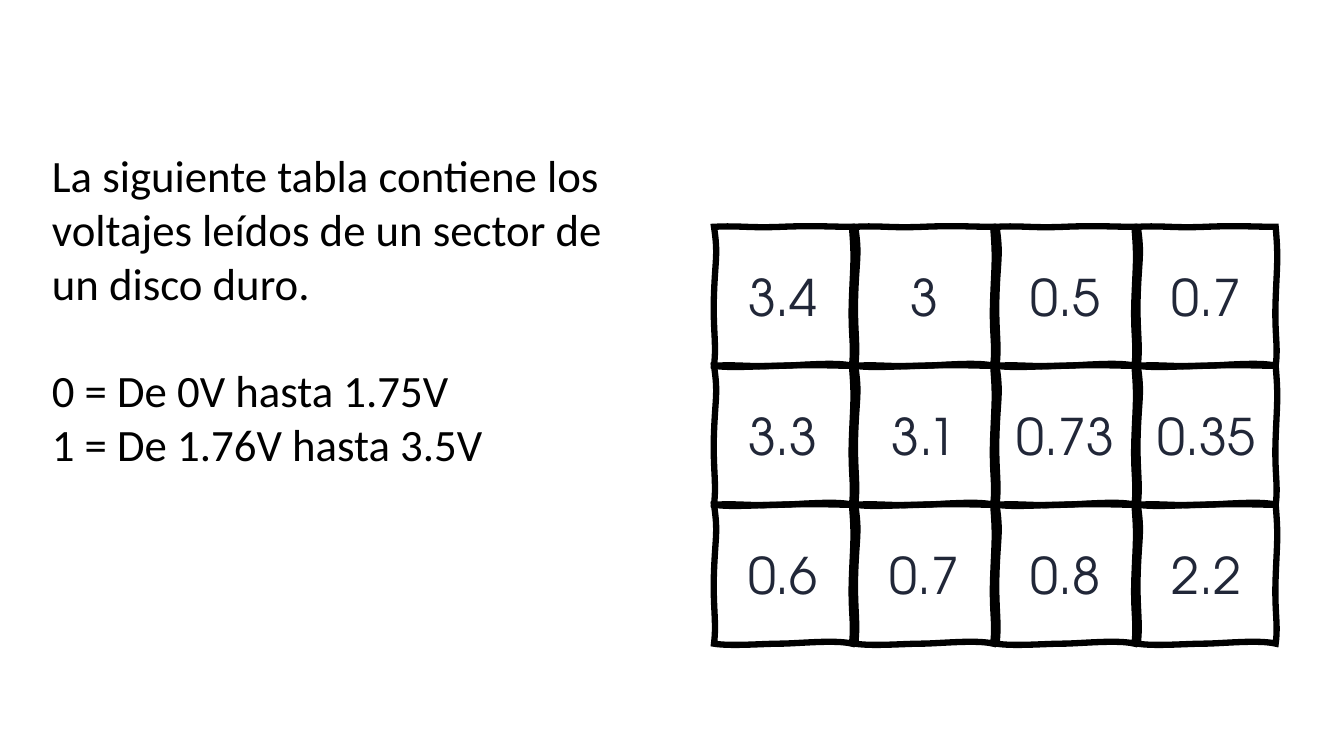
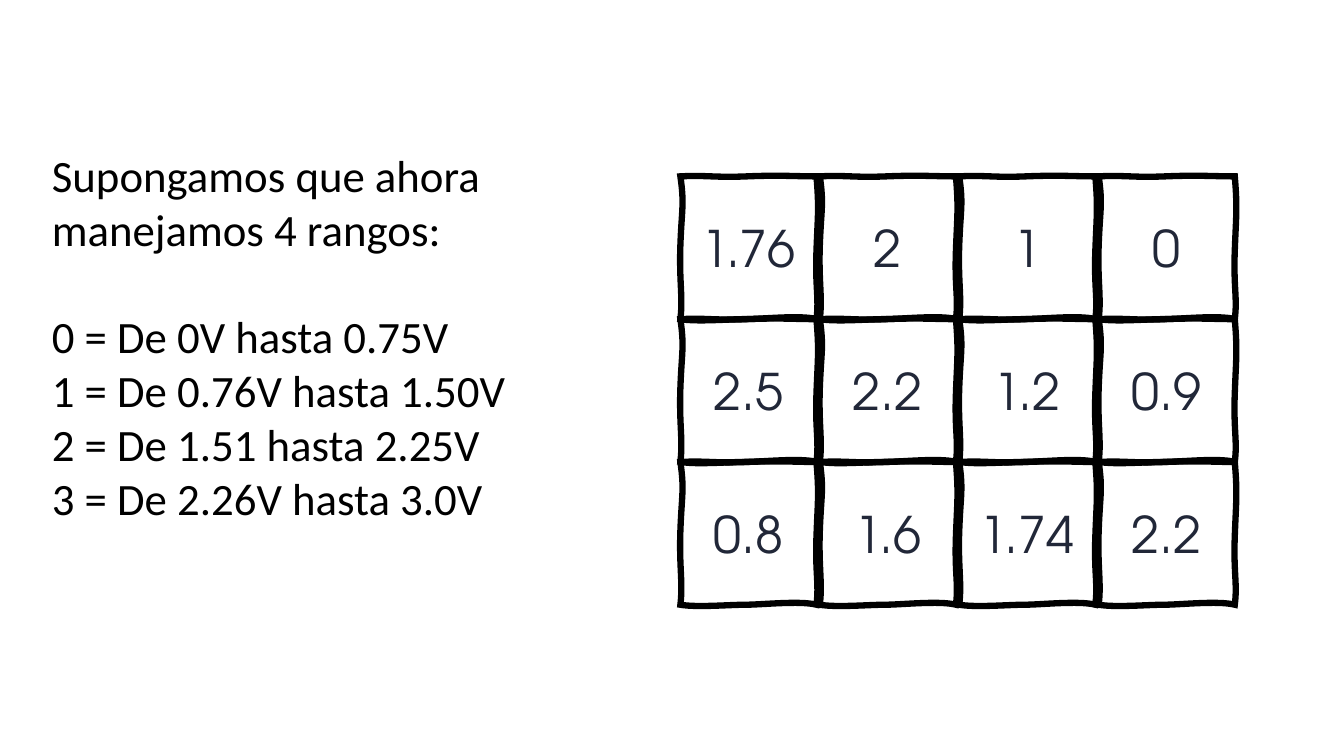
from dataclasses import dataclass

from lxml.etree import SubElement
from pptx import Presentation
from pptx.dml.color import RGBColor as RGB
from pptx.enum.text import MSO_ANCHOR as ANCHOR, MSO_AUTO_SIZE as AUTO, PP_ALIGN as ALIGN
from pptx.oxml.ns import qn
from pptx.util import Pt


@dataclass(frozen=True)
class Theme:
    ink: RGB = RGB(0, 0, 0)
    value: RGB = RGB(0x21, 0x27, 0x38)
    body_font: str = "Calibri"
    value_font: str = "TeX Gyre Adventor"
    body_size: float = 32
    value_size: float = 36
    border: float = 4.5
    body_gap: float = 38.4
    cell_gap: float = 2.4


THEME = Theme()
BODY = {"name": THEME.body_font, "size": Pt(THEME.body_size)}
VALUE = {"name": THEME.value_font, "size": Pt(THEME.value_size)}
CORNERS = [(1, 0), (1, 1), (0, 1)]
WAVY_EDGES = [
    ((0.19, -0.01), (0.25, 0.01), (0.49, 0)),
    ((0.74, -0.01), (0.83, 0), (1, 0)),
    ((1.02, 0.23), (1.01, 0.26), (1, 0.52)),
    ((0.99, 0.78), (1.02, 0.85), (1, 1)),
    ((0.88, 0.97), (0.6, 1), (0.48, 1)),
    ((0.36, 1), (0.12, 1.02), (0, 1)),
    ((0.02, 0.84), (-0.01, 0.74), (0, 0.48)),
    ((0.01, 0.22), (0.03, 0.2), (0, 0)),
]


def add_run(p, text, font, color):
    r = p.add_run()
    r.text = text
    for name, value in font.items():
        setattr(r.font, name, value)
    r.font.color.rgb = color


def add_body(s, height, intro, ranges):
    box = s.shapes.add_textbox(Pt(30), Pt(102), Pt(408), Pt(height))
    tf = box.text_frame
    tf.word_wrap = True
    tf.auto_size = AUTO.SHAPE_TO_FIT_TEXT
    add_run(tf.paragraphs[0], intro, BODY, THEME.ink)
    for i, text in enumerate(ranges):
        p = tf.add_paragraph()
        if i == 0:
            p.space_before = Pt(THEME.body_gap)
        add_run(p, text, BODY, THEME.ink)


def bend_edges(sp):
    outline = next(sp._element.iter(qn("a:path")))
    for line in outline.findall(qn("a:lnTo")):
        outline.remove(line)
    close = outline.find(qn("a:close"))
    for edge in WAVY_EDGES:
        curve = SubElement(outline, qn("a:cubicBezTo"))
        for x, y in edge:
            SubElement(curve, qn("a:pt"), x=str(round(x * sp.width)), y=str(round(y * sp.height)))
    outline.append(close)


def add_cell(shapes, left, top, width, height, text):
    builder = shapes.build_freeform(Pt(left), Pt(top))
    builder.add_line_segments(
        [(Pt(left + x * width), Pt(top + y * height)) for x, y in CORNERS]
    )
    sp = builder.convert_to_shape()
    bend_edges(sp)
    sp.shadow.inherit = False
    sp.fill.background()
    sp.line.color.rgb = THEME.ink
    sp.line.width = Pt(THEME.border)
    SubElement(sp.line._get_or_add_ln(), qn("a:miter"), lim="800000")
    tf = sp.text_frame
    tf.word_wrap = True
    tf.vertical_anchor = ANCHOR.MIDDLE
    p = tf.paragraphs[0]
    p.alignment = ALIGN.CENTER
    add_run(p, text, VALUE, THEME.value)


def add_grid(s, left, top, width, height, rows):
    group = s.shapes.add_group_shape()
    for i, row in enumerate(rows):
        for j, text in enumerate(row):
            x = left + j * (width + THEME.cell_gap)
            add_cell(group.shapes, x, top + i * height, width, height, text)


def main():
    prs = Presentation()
    prs.slide_width, prs.slide_height = Pt(960), Pt(540)
    blank = prs.slide_layouts[6]

    s = prs.slides.add_slide(blank)
    add_body(
        s, 240,
        "La siguiente tabla contiene los voltajes leídos de un sector de un disco duro.",
        ["0 = De 0V hasta 1.75V", "1 = De 1.76V hasta 3.5V"],
    )
    add_grid(s, 510, 162, 98.5, 99.25, [
        ["3.4", "3", "0.5", "0.7"],
        ["3.3", "3.1", "0.73", "0.35"],
        ["0.6", "0.7", "0.8", "2.2"],
    ])

    s = prs.slides.add_slide(blank)
    add_grid(s, 486, 126, 97.2, 102, [
        ["1.76", "2", "1", "0"],
        ["2.5", "2.2", "1.2", "0.9"],
        ["0.8", "1.6", "1.74", "2.2"],
    ])
    add_body(
        s, 278.6,
        "Supongamos que ahora manejamos 4 rangos:",
        [
            "0 = De 0V hasta 0.75V",
            "1 = De 0.76V hasta 1.50V",
            "2 = De 1.51 hasta 2.25V",
            "3 = De 2.26V hasta 3.0V",
        ],
    )
    prs.save("out.pptx")


if __name__ == "__main__":
    main()
